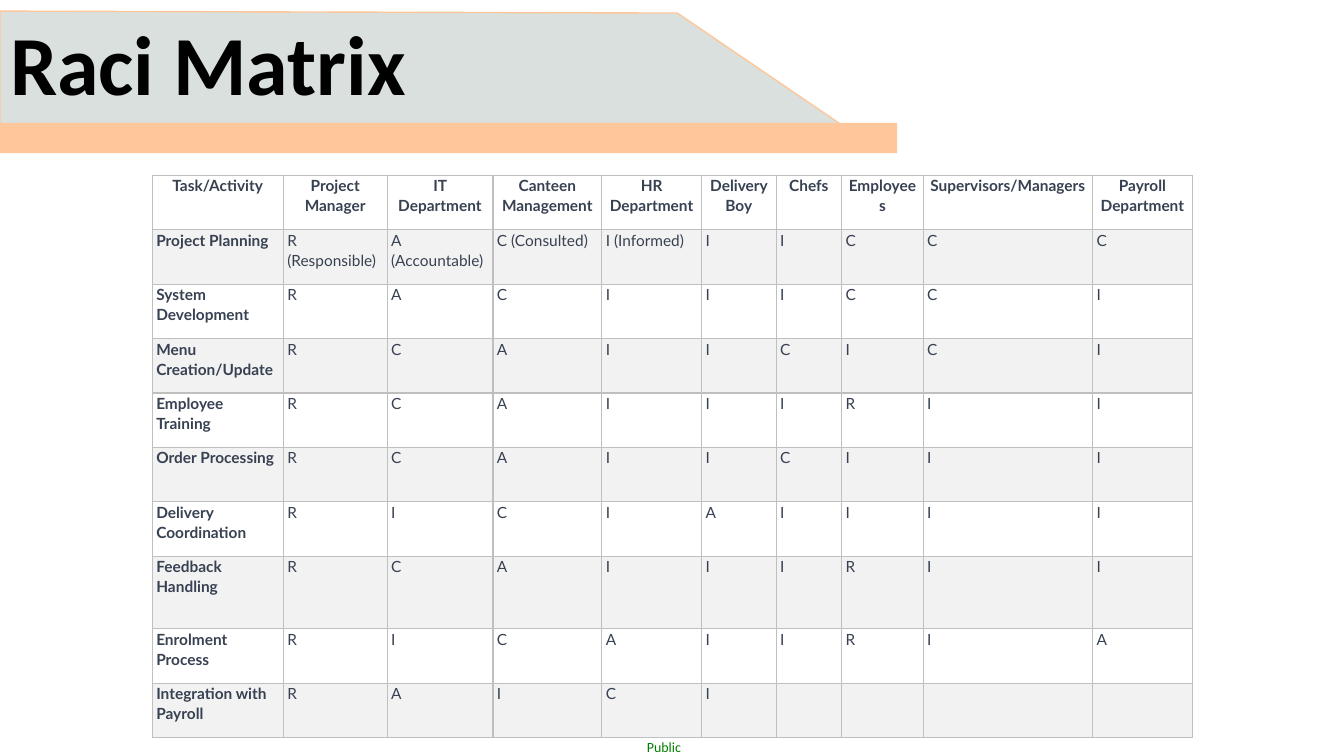
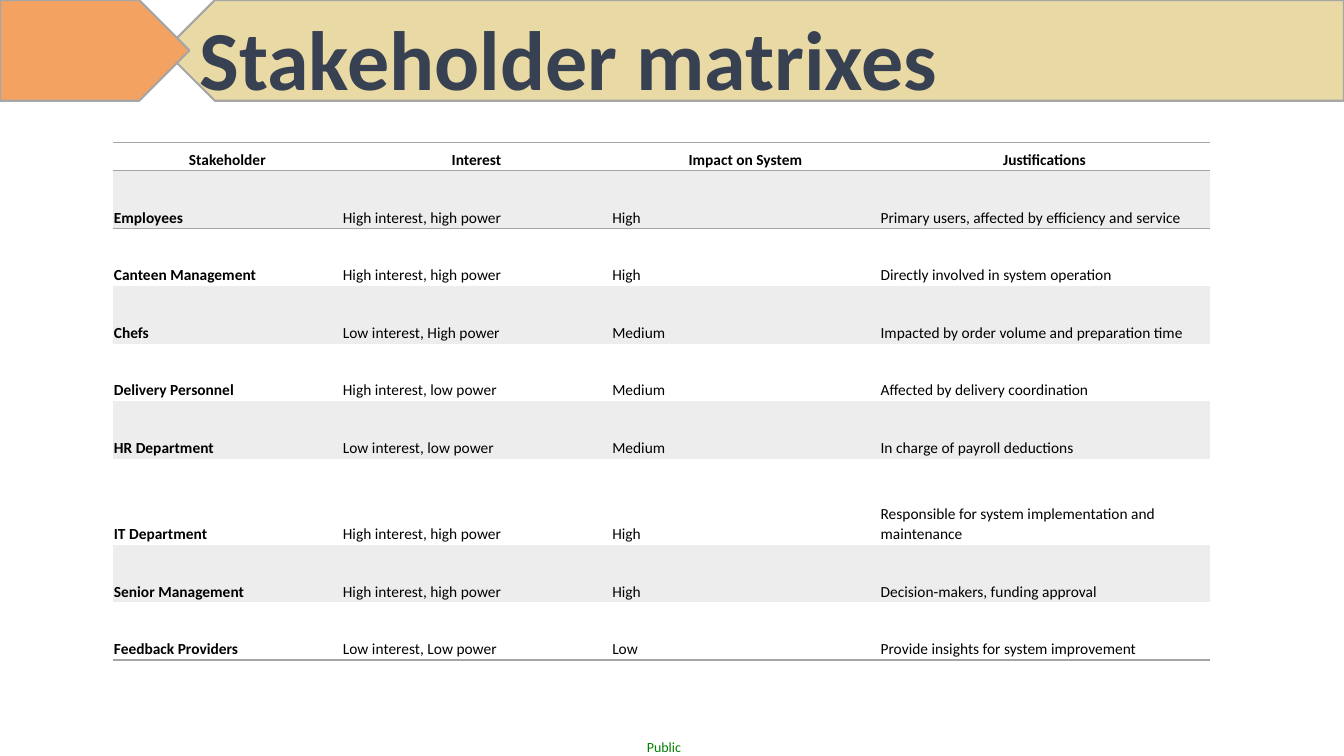
from lxml import etree
from pptx import Presentation
from pptx.dml.color import RGBColor
from pptx.enum.shapes import MSO_SHAPE as Preset
from pptx.enum.text import MSO_ANCHOR as Anchor, MSO_AUTO_SIZE as AutoSize, PP_ALIGN as Align
from pptx.oxml.ns import qn
from pptx.util import Inches, Pt

WIDTH, HEIGHT = 13.33, 7.5
INK, BLACK, GREEN = "374151", "000000", "008000"
PEACH, MIST, SAND, ORANGE = "FDC79B", "D9E0DE", "E9D9A4", "F3A261"
GRID_LINE, RULE_LINE, PLATE_LINE = "BFBFBF", "A5A5A5", "A6A6A6"
NO_STYLE_NO_GRID = "{2D5ABB26-0587-4C30-8999-92F81FD0307C}"

TITLE_FONT = {"name": "Calibri", "size": Pt(60), "bold": True}
FOOTER_FONT = {"name": "Calibri", "size": Pt(10), "bold": False}
RACI_FONT = {"name": "Lato", "size": Pt(11)}
STAKEHOLDER_FONT = {"name": "Calibri", "size": Pt(11)}

RACI_COLUMNS = [1.3, 1.03, 1.05, 1.08, 0.99, 0.74, 0.65, 0.81, 1.68, 0.99]
RACI_ROWS = [3] * 7 + [4] + [3] * 2
RACI = [
    ["Task/Activity", "Project Manager", "IT Department", "Canteen Management", "HR Department",
     "Delivery Boy", "Chefs", "Employees", "Supervisors/Managers", "Payroll Department"],
    ["Project Planning", "R (Responsible)", "A (Accountable)", "C (Consulted)", "I (Informed)",
     *"IICCC"],
    ["System Development", *"RACIIICCI"],
    ["Menu Creation/Update", *"RCAIICICI"],
    ["Employee Training", *"RCAIIIRII"],
    ["Order Processing", *"RCAIICIII"],
    ["Delivery Coordination", *"RICIAIIII"],
    ["Feedback Handling", *"RCAIIIRII"],
    ["Enrolment Process", *"RICAIIRIA"],
    ["Integration with Payroll", *"RAICI"],
]

STAKEHOLDER_COLUMNS = [2.27, 2.67, 2.66, 3.27]
STAKEHOLDER_ROWS = [1] + [2] * 5 + [3] + [2] * 2
STAKEHOLDERS = [
    ["Stakeholder", "Interest", "Impact on System", "Justifications"],
    ["Employees", "High interest, high power", "High",
     "Primary users, affected by efficiency and service"],
    ["Canteen Management", "High interest, high power", "High",
     "Directly involved in system operation"],
    ["Chefs", "Low interest, High power", "Medium",
     "Impacted by order volume and preparation time"],
    ["Delivery Personnel", "High interest, low power", "Medium",
     "Affected by delivery coordination"],
    ["HR Department", "Low interest, low power", "Medium", "In charge of payroll deductions"],
    ["IT Department", "High interest, high power", "High",
     "Responsible for system implementation and maintenance"],
    ["Senior Management", "High interest, high power", "High",
     "Decision-makers, funding approval"],
    ["Feedback Providers", "Low interest, Low power", "Low",
     "Provide insights for system improvement"],
]


def across(percent):
    return Inches(WIDTH * percent / 100)


def down(percent):
    return Inches(HEIGHT * percent / 100)


def area(left, top, width, height):
    return across(left), down(top), across(width), down(height)


def color(value):
    return RGBColor.from_string(value)


def apply(target, values):
    for key, value in values.items():
        setattr(target, key, value)


def write(paragraph, text, ink, font, **layout):
    paragraph.text = text
    apply(paragraph, layout)
    apply(paragraph.font, font)
    paragraph.font.color.rgb = color(ink)


def paint(shape, fill, line=None, weight=1):
    shape.shadow.inherit = False
    shape.fill.solid()
    shape.fill.fore_color.rgb = color(fill)
    if line:
        shape.line.color.rgb = color(line)
        shape.line.width = Pt(weight)
    else:
        shape.line.fill.background()


def add_band(slide, preset, place, fill, line=None, rotation=0):
    band = slide.shapes.add_shape(preset, *area(*place))
    band.rotation = rotation
    paint(band, fill, line, 1.5)


def add_banner(slide, corners, fill, line):
    points = [(across(x), down(y)) for x, y in corners]
    builder = slide.shapes.build_freeform(*points[0])
    builder.add_line_segments(points[1:], close=True)
    paint(builder.convert_to_shape(), fill, line)


def set_title(slide, text, place, ink, spacing):
    title = slide.shapes.title
    apply(title, dict(zip(("left", "top", "width", "height"), area(*place))))
    apply(title.text_frame, {"word_wrap": True, "auto_size": AutoSize.NONE,
                             "vertical_anchor": Anchor.TOP})
    write(title.text_frame.paragraphs[0], text, ink, TITLE_FONT,
          alignment=Align.LEFT, line_spacing=spacing)
    title.element.getparent().append(title.element)


def add_master_footer(prs, slide, text):
    footer = slide.shapes.add_textbox(*area(48, 97.73, 2.8, 2.27))
    apply(footer.text_frame, dict.fromkeys(
        ("margin_left", "margin_top", "margin_right", "margin_bottom"), 0))
    footer.text_frame.word_wrap = False
    write(footer.text_frame.paragraphs[0], text, GREEN, FOOTER_FONT, alignment=Align.CENTER)
    prs.slide_master.shapes.element.append(footer.element)


def set_borders(cell, sides, line):
    properties = cell._tc.get_or_add_tcPr()
    for side in sides:
        edge = etree.SubElement(properties, qn(f"a:ln{side}"), w=str(Pt(1)))
        fill = etree.SubElement(edge, qn("a:solidFill"))
        etree.SubElement(fill, qn("a:srgbClr"), val=line)


def raci_sides(row, last):
    return "LRTB"


def stakeholder_sides(row, last):
    return {0: "TB", 1: "T", last: "B"}.get(row, "")


def add_matrix(slide, place, records, columns, rows, font, ink, band, line, sides, cell_format):
    left, top, width, height = area(*place)
    table = slide.shapes.add_table(len(rows), len(columns), left, top, width, height).table
    apply(table, {"first_row": False, "horz_banding": False})
    table._tbl.tblPr.find(qn("a:tableStyleId")).text = NO_STYLE_NO_GRID
    for column, share in zip(table.columns, columns):
        column.width = int(width * share / sum(columns))
    for row, share in zip(table.rows, rows):
        row.height = int(height * share / sum(rows))
    for r, record in enumerate(records):
        for c in range(len(columns)):
            cell = table.cell(r, c)
            apply(cell, cell_format)
            set_borders(cell, sides(r, len(records) - 1), line)
            if r % 2:
                cell.fill.solid()
                cell.fill.fore_color.rgb = color(band)
            else:
                cell.fill.background()
            if c < len(record):
                write(cell.text_frame.paragraphs[0], record[c], ink,
                      {**font, "bold": r == 0 or c == 0}, line_spacing=1.07,
                      alignment=Align.LEFT if r else Align.CENTER)


def cell_layout(side, end, anchor):
    return {"margin_left": Inches(side), "margin_right": Inches(side),
            "margin_top": Inches(end), "margin_bottom": Inches(end),
            "vertical_anchor": anchor}


def build_raci(slide):
    add_matrix(slide, (11.33, 23.2, 77.4, 74.4), RACI, RACI_COLUMNS, RACI_ROWS, RACI_FONT,
               INK, "F2F2F2", GRID_LINE, raci_sides, cell_layout(0.04, 0, Anchor.TOP))
    add_banner(slide, [(0, 1.47), (50.4, 1.73), (64.73, 19.07), (0, 18.4)], MIST, PEACH)
    add_band(slide, Preset.RECTANGLE, (0, 16.27, 66.75, 4), PEACH)
    set_title(slide, "Raci Matrix", (0, 2.4, 71.3, 7.6), BLACK, 0.9)


def build_stakeholders(slide):
    add_matrix(slide, (8.4, 18.8, 81.6, 68.53), STAKEHOLDERS, STAKEHOLDER_COLUMNS,
               STAKEHOLDER_ROWS, STAKEHOLDER_FONT, BLACK, "EDEDED", RULE_LINE,
               stakeholder_sides, cell_layout(0.01, 0.01, Anchor.BOTTOM))
    add_band(slide, Preset.PENTAGON, (12.23, 0, 87.77, 13.33), SAND, PLATE_LINE, 180)
    add_band(slide, Preset.PENTAGON, (0, 0, 14.1, 13.33), ORANGE, PLATE_LINE)
    set_title(slide, "Stakeholder matrixes", (14.1, -0.8, 73.65, 15.07), INK, 1.07)


def main():
    prs = Presentation()
    apply(prs, {"slide_width": Inches(WIDTH), "slide_height": Inches(HEIGHT)})
    title_only = prs.slide_layouts.get_by_name("Title Only")
    raci, stakeholders = (prs.slides.add_slide(title_only) for _ in range(2))
    add_master_footer(prs, raci, "Public")
    build_raci(raci)
    build_stakeholders(stakeholders)
    prs.save("out.pptx")


if __name__ == "__main__":
    main()
